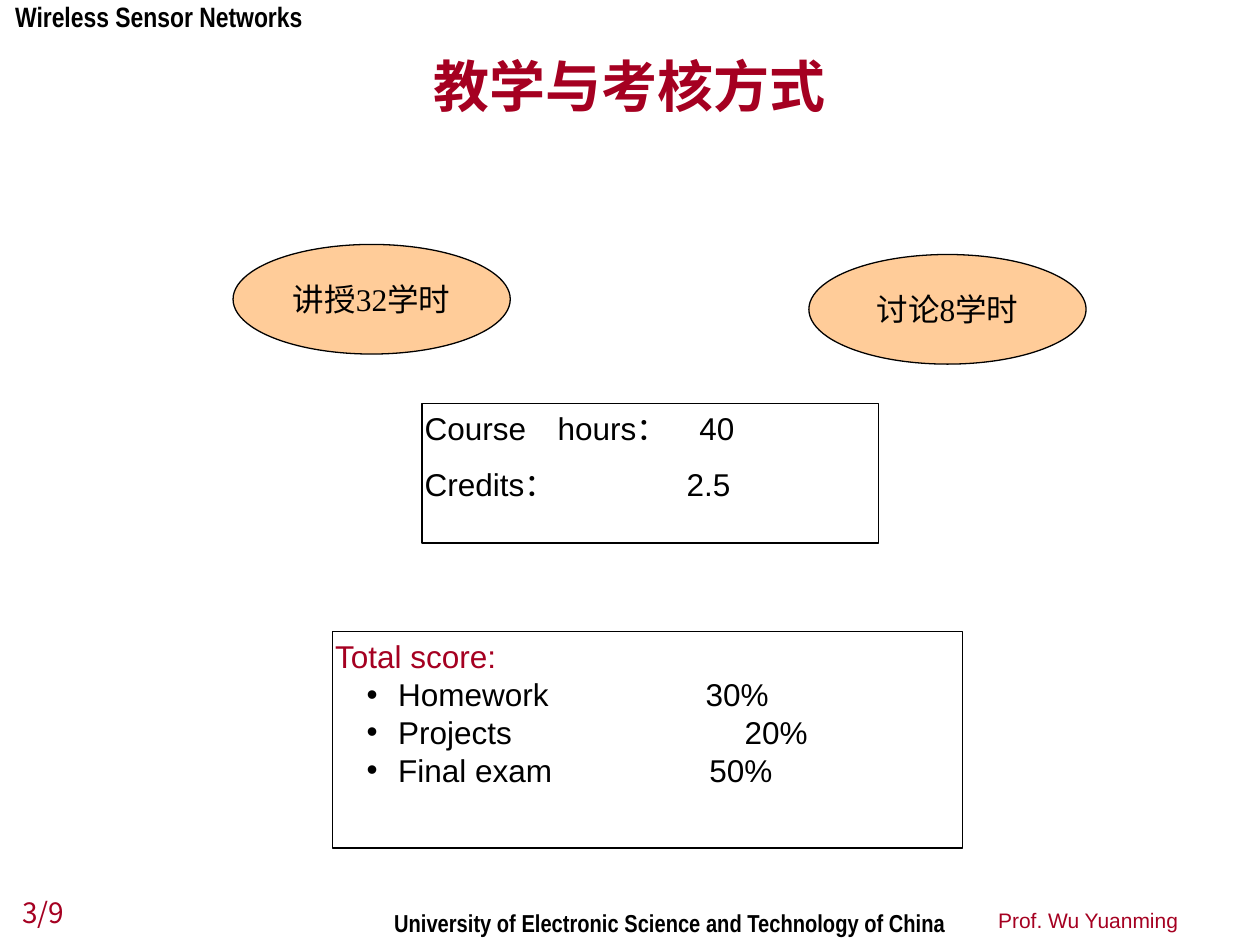
import pptx
import pptx.util
import pptx.dml.color
import pptx.enum.shapes
import pptx.enum.text
import pptx.oxml.ns
import lxml.etree
from dataclasses import dataclass

Inches, Pt = pptx.util.Inches, pptx.util.Pt
ALIGN = pptx.enum.text.PP_ALIGN
ANCHOR = pptx.enum.text.MSO_ANCHOR
SHAPE = pptx.enum.shapes.MSO_SHAPE


@dataclass(frozen=True)
class Theme:
    black: str = "000000"
    red: str = "A50021"
    peach: str = "FFCC99"
    sans: str = "Arial"
    narrow: str = "Arial Narrow"
    cjk: str = "Noto Sans CJK JP"
    serif: str = "Times New Roman"
    title: int = 32
    body: int = 18
    header: int = 16
    footer: int = 14
    author: int = 12
    line: float = 0.75


THEME = Theme()

# text, (left, top, width, height), font, size, colour, bold, alignment, anchor, inset
LABELS = [
    ("Wireless Sensor Networks", (0.12, 0, 2.68, 0.27), THEME.narrow, THEME.header,
     THEME.black, True, ALIGN.LEFT, ANCHOR.TOP, (0, 0)),
    ("University of Electronic Science and Technology of China", (3.03, 7.16, 4.72, 0.34),
     THEME.narrow, THEME.footer, THEME.black, True, ALIGN.LEFT, ANCHOR.TOP, (0.1, 0.05)),
    ("教学与考核方式", (0.75, 0.33, 8.5, 0.66), THEME.cjk, THEME.title,
     THEME.red, True, ALIGN.CENTER, ANCHOR.BOTTOM, (0.1, 0.05)),
    ("3/9", (0.08, 7.03, 1.01, 0.39), THEME.cjk, THEME.header,
     THEME.red, False, ALIGN.LEFT, ANCHOR.BOTTOM, (0.1, 0.05)),
    ("Prof. Wu Yuanming", (7.68, 7.09, 1.77, 0.36), THEME.sans, THEME.author,
     THEME.red, False, ALIGN.RIGHT, ANCHOR.BOTTOM, (0.1, 0.05)),
]
TEACHING = [("讲授32学时", 1.85, 1.94), ("讨论8学时", 6.42, 2.02)]
OVAL_SIZE = (2.2, 0.87)

COURSE_AREA = (3.35, 3.2, 3.62, 1.11)
COURSE = [("Course\u3000hours：\u300040", None), ("Credits：\t2.5", 2.08)]
SCORE_AREA = (2.64, 5.01, 5, 1.72)
SCORE_HEADING = "Total score:"
SCORES = [("Homework\t30%", 2.94), ("Projects\t20%", 3.25), ("Final exam\t50%", 2.97)]
PANEL_INSET = (0.02, 0.05)
BULLET_MARGIN, BULLET_HANG = 0.5, 0.25


def color(value):
    return pptx.dml.color.RGBColor.from_string(value)


def add_child(parent, tag, **attributes):
    child = lxml.etree.SubElement(parent, pptx.oxml.ns.qn(tag))
    for name, value in attributes.items():
        child.set(name, str(value))
    return child


def format_para(para, font, size, fill, bold=False, alignment=ALIGN.LEFT):
    para.alignment = alignment
    for span in para.runs:
        span.font.name = font
        span.font.size = Pt(size)
        span.font.bold = bold
        span.font.color.rgb = color(fill)
        if font == THEME.cjk:
            add_child(span.font._element, "a:ea", typeface=font)


def set_frame(frame, inset, anchor, wrap=True):
    frame.margin_left = frame.margin_right = Inches(inset[0])
    frame.margin_top = frame.margin_bottom = Inches(inset[1])
    frame.vertical_anchor = anchor
    frame.word_wrap = wrap


def add_label(page, text, area, font, size, fill, bold, alignment, anchor, inset):
    box = page.shapes.add_textbox(*map(Inches, area))
    set_frame(box.text_frame, inset, anchor)
    box.text_frame.text = text
    format_para(box.text_frame.paragraphs[0], font, size, fill, bold, alignment)


def add_outlined(page, kind, area, fill=None):
    shape = page.shapes.add_shape(kind, *map(Inches, area))
    shape.shadow.inherit = False
    if fill:
        shape.fill.solid()
        shape.fill.fore_color.rgb = color(fill)
    else:
        shape.fill.background()
    shape.line.color.rgb = color(THEME.black)
    shape.line.width = Pt(THEME.line)
    return shape


def add_oval(page, text, left, top):
    oval = add_outlined(page, SHAPE.OVAL, (left, top, *OVAL_SIZE), THEME.peach)
    set_frame(oval.text_frame, (0.1, 0.05), ANCHOR.MIDDLE, wrap=False)
    oval.text_frame.text = text
    format_para(oval.text_frame.paragraphs[0], THEME.serif, THEME.body, THEME.black,
                alignment=ALIGN.CENTER)


def set_layout(para, tab, bulleted):
    """Add the bullet and the tab stop, measured from the text edge of the box."""
    properties = para._p.get_or_add_pPr()
    if bulleted:
        properties.set("marL", str(Inches(BULLET_MARGIN)))
        properties.set("indent", str(-Inches(BULLET_HANG)))
        add_child(properties, "a:buFont", typeface=THEME.sans)
        add_child(properties, "a:buChar", char="•")
    if tab:
        stops = add_child(properties, "a:tabLst")
        add_child(stops, "a:tab", pos=Inches(tab), algn="l")


def add_panel(page, area, rows, heading=None, gap=0):
    """Add a framed list; rows under a heading become bullets."""
    panel = add_outlined(page, SHAPE.RECTANGLE, area)
    frame = panel.text_frame
    set_frame(frame, PANEL_INSET, ANCHOR.TOP)
    lines = [(heading, None)] if heading else []
    lines += rows
    frame.text = "\n".join(text for text, tab in lines)
    for index, (para, (text, tab)) in enumerate(zip(frame.paragraphs, lines)):
        is_heading = text == heading
        set_layout(para, tab, bulleted=bool(heading) and not is_heading)
        if index and gap:
            para.space_before = Pt(gap)
        format_para(para, THEME.sans, THEME.body, THEME.red if is_heading else THEME.black)


def main():
    deck = pptx.Presentation()
    deck.slide_width, deck.slide_height = Inches(10), Inches(7.5)
    page = deck.slides.add_slide(deck.slide_layouts[6])
    for label in LABELS:
        add_label(page, *label)
    for oval in TEACHING:
        add_oval(page, *oval)
    add_panel(page, COURSE_AREA, COURSE, gap=10)
    add_panel(page, SCORE_AREA, SCORES, heading=SCORE_HEADING)
    deck.save("out.pptx")


if __name__ == "__main__":
    main()
